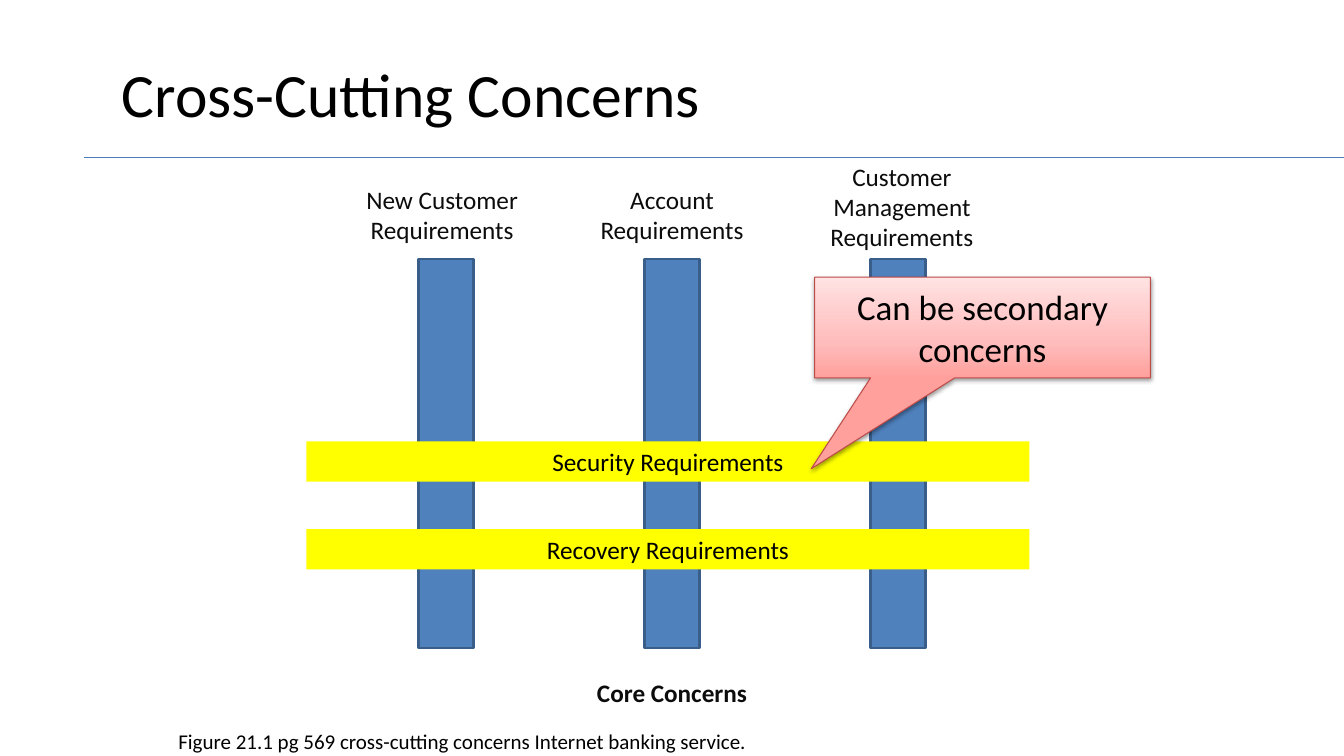
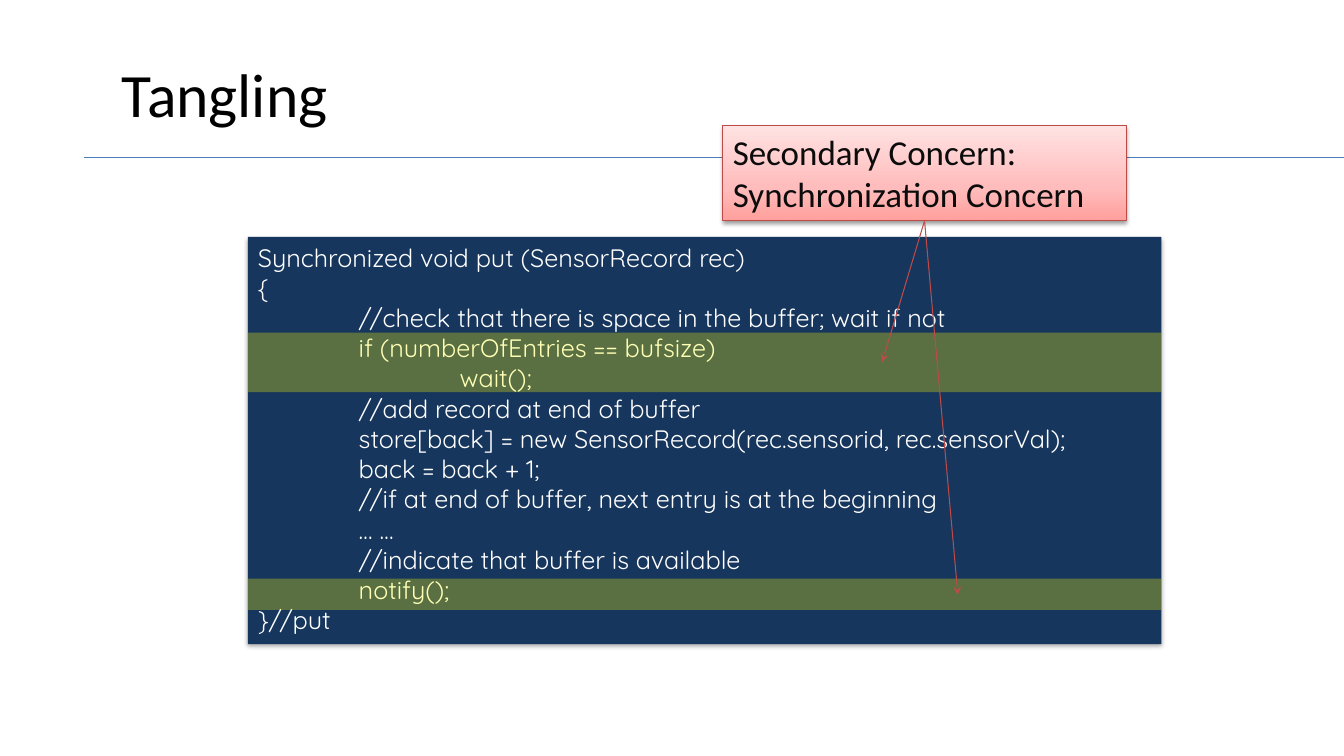
from dataclasses import dataclass

from lxml import etree
from pptx import Presentation
from pptx.dml.color import RGBColor
from pptx.enum.shapes import MSO_CONNECTOR, MSO_SHAPE
from pptx.enum.text import MSO_ANCHOR, MSO_AUTO_SIZE, PP_ALIGN
from pptx.oxml.ns import qn
from pptx.util import Inches, Pt

RECT = MSO_SHAPE.RECTANGLE
CALLOUT = MSO_SHAPE.RECTANGULAR_CALLOUT
STRAIGHT = MSO_CONNECTOR.STRAIGHT
LEFT, CENTER = PP_ALIGN.LEFT, PP_ALIGN.CENTER
TOP, MIDDLE = MSO_ANCHOR.TOP, MSO_ANCHOR.MIDDLE
GROW, FIXED = MSO_AUTO_SIZE.SHAPE_TO_FIT_TEXT, MSO_AUTO_SIZE.NONE

BLACK = RGBColor(0x00, 0x00, 0x00)
INK = RGBColor(0x0C, 0x0C, 0x0C)
WHITE = RGBColor(0xFF, 0xFF, 0xFF)
RULE = RGBColor(0x4A, 0x7D, 0xBA)
BLUE = RGBColor(0x4F, 0x81, 0xBD)
BLUE_EDGE = RGBColor(0x39, 0x5E, 0x89)
YELLOW = RGBColor(0xFF, 0xFF, 0x00)
NAVY = RGBColor(0x17, 0x36, 0x5D)
RED = RGBColor(0xBD, 0x4B, 0x48)
PINKS = (
    (0, RGBColor(0xFF, 0xA0, 0x9D)),
    (35, RGBColor(0xFF, 0xBC, 0xBC)),
    (100, RGBColor(0xFF, 0xE2, 0xE2)),
)

BODY_FONT = "Calibri"
CODE_FONT = "Quicksand"

CODE = (
    "Synchronized void put (SensorRecord rec)",
    "{",
    "\t//check that there is space in the buffer; wait if not",
    "\tif (numberOfEntries == bufsize)",
    "\t\twait();",
    "\t//add record at end of buffer",
    "\tstore[back] = new SensorRecord(rec.sensorid, rec.sensorVal);",
    "\tback = back + 1;",
    "\t//if at end of buffer, next entry is at the beginning",
    "\t… …",
    "\t//indicate that buffer is available",
    "\tnotify();",
    "}//put",
)


@dataclass(frozen=True)
class Box:
    x: float
    y: float
    w: float
    h: float

    def emu(self) -> tuple:
        return tuple(Inches(v) for v in (self.x, self.y, self.w, self.h))


@dataclass(frozen=True)
class TextStyle:
    size: float
    color: RGBColor = INK
    font: str = BODY_FONT
    bold: bool = False
    align: PP_ALIGN = CENTER
    anchor: MSO_ANCHOR = TOP
    fit: MSO_AUTO_SIZE = GROW
    tabs: tuple = ()


@dataclass(frozen=True)
class Label:
    text: str
    y: float
    h: float


TITLE = TextStyle(44, BLACK, align=LEFT, anchor=MIDDLE, fit=FIXED)
LABEL = TextStyle(18)
LABEL_BOLD = TextStyle(18, bold=True)
BAND = TextStyle(18, BLACK)
CAPTION = TextStyle(15, BLACK, align=LEFT)
CALLOUT_TEXT = TextStyle(25, BLACK, anchor=MIDDLE, fit=FIXED)
NOTE = TextStyle(25, align=LEFT)
CODE_TEXT = TextStyle(18, WHITE, CODE_FONT, align=LEFT, tabs=(1, 2))

LABELS = (
    Label("New Customer Requirements", 1.78, 0.71),
    Label("Account Requirements", 1.78, 0.71),
    Label("Customer Management Requirements", 1.55, 1.01),
)


def add_tabs(p, stops: tuple) -> None:
    tabs = etree.SubElement(p._p.get_or_add_pPr(), qn("a:tabLst"))
    for stop in stops:
        etree.SubElement(tabs, qn("a:tab"), pos=str(Inches(stop)), algn="l")


def write(s, lines: tuple, style: TextStyle) -> None:
    tf = s.text_frame
    tf.word_wrap = True
    tf.auto_size = style.fit
    tf.vertical_anchor = style.anchor
    for i, line in enumerate(lines):
        p = tf.add_paragraph() if i else tf.paragraphs[0]
        p.text = line
        p.alignment = style.align
        if style.tabs:
            add_tabs(p, style.tabs)
        p.font.name = style.font
        p.font.size = Pt(style.size)
        p.font.bold = style.bold
        p.font.color.rgb = style.color


def add_text(sp, box: Box, text: str, style: TextStyle) -> None:
    write(sp.add_textbox(*box.emu()), (text,), style)


def add_block(sp, box: Box, fill: RGBColor, kind: MSO_SHAPE = RECT):
    s = sp.add_shape(kind, *box.emu())
    s.shadow.inherit = False
    s.fill.solid()
    s.fill.fore_color.rgb = fill
    s.line.fill.background()
    return s


def outline(s, color: RGBColor, width: float) -> None:
    s.line.color.rgb = color
    s.line.width = Pt(width)


def add_color(parent, color: RGBColor, alpha: int = 100) -> None:
    clr = etree.SubElement(parent, qn("a:srgbClr"), val=str(color))
    if alpha < 100:
        etree.SubElement(clr, qn("a:alpha"), val=str(alpha * 1000))


def cast_shadow(s, alpha: int, distance: float) -> None:
    effects = s._element.spPr.find(qn("a:effectLst"))
    shadow = etree.SubElement(
        effects, qn("a:outerShdw"), blurRad=str(Pt(3.1)),
        dist=str(Pt(distance)), dir="5400000", rotWithShape="0")
    add_color(shadow, BLACK, alpha)


def add_pink_block(sp, box: Box, text: str, style: TextStyle,
                   kind: MSO_SHAPE = RECT):
    s = add_block(sp, box, PINKS[0][1], kind)
    s.fill.gradient()
    s.fill.gradient_angle = 90
    stops = s._element.spPr.find(qn("a:gradFill")).find(qn("a:gsLst"))
    for stop in list(stops):
        stops.remove(stop)
    for pos, color in PINKS:
        stop = etree.SubElement(stops, qn("a:gs"), pos=str(pos * 1000))
        add_color(stop, color)
    outline(s, RED, 0.75)
    cast_shadow(s, 38, 1.6)
    write(s, (text,), style)
    return s


def add_highlight(sp, box: Box) -> None:
    s = add_block(sp, box, YELLOW)
    clr = s._element.spPr.find(qn("a:solidFill"))[0]
    etree.SubElement(clr, qn("a:alpha"), val="29000")


def add_line(sp, x1: float, y1: float, x2: float, y2: float,
             color: RGBColor):
    c = sp.add_connector(STRAIGHT, Inches(x1), Inches(y1),
                         Inches(x2), Inches(y2))
    outline(c, color, 0.75)
    etree.SubElement(c._element.spPr, qn("a:effectLst"))
    return c


def add_arrow(sp, source, x1: float, y1: float, x2: float, y2: float) -> None:
    c = add_line(sp, x1, y1, x2, y2, RED)
    c.begin_connect(source, 2)
    etree.SubElement(c.line._get_or_add_ln(), qn("a:tailEnd"), type="stealth")


def new_slide(prs, title: str):
    sp = prs.slides.add_slide(prs.slide_layouts[6]).shapes
    add_line(sp, 0.83, 1.56, 13.33, 1.56, RULE)
    add_text(sp, Box(1.11, 0.3, 11.78, 1.25), title, TITLE)
    return sp


def concerns_slide(prs) -> None:
    sp = new_slide(prs, "Cross-Cutting Concerns")
    for i in range(len(LABELS)):
        pillar = add_block(sp, Box(4.15 + 2.24 * i, 2.57, 0.55, 3.86), BLUE)
        outline(pillar, BLUE_EDGE, 2)
    for i, text in enumerate(("Security Requirements",
                              "Recovery Requirements")):
        band = add_block(sp, Box(3.04, 4.38 + 0.87 * i, 7.17, 0.4), YELLOW)
        write(band, (text,), BAND)
    for i, label in enumerate(LABELS):
        box = Box(3.36 + 2.28 * i, label.y, 2.05, label.h)
        add_text(sp, box, label.text, LABEL)
    add_text(sp, Box(5.64, 6.67, 2.05, 0.4), "Core Concerns", LABEL_BOLD)
    add_text(sp, Box(1.67, 7.18, 8.54, 0.35),
             "Figure 21.1 pg 569 cross-cutting concerns "
             "Internet banking service.", CAPTION)
    callout = add_pink_block(sp, Box(8.08, 2.75, 3.33, 1),
                             "Can be secondary concerns",
                             CALLOUT_TEXT, CALLOUT)
    callout.adjustments[0] = -0.51
    callout.adjustments[1] = 1.4


def tangling_slide(prs) -> None:
    sp = new_slide(prs, "Tangling")
    panel = Box(2.46, 2.35, 9.06, 4.04)
    code = add_block(sp, panel, NAVY)
    cast_shadow(code, 35, 1.8)
    write(code, CODE, CODE_TEXT)
    for y, h in ((3.3, 0.59), (5.74, 0.31)):
        add_highlight(sp, Box(panel.x, y, panel.w, h))
    box = Box(7.17, 1.25, 4, 0.94)
    note = add_pink_block(sp, box,
                          "Secondary Concern: Synchronization Concern", NOTE)
    for x, y in ((9.5, 5.9), (8.75, 3.59)):
        add_arrow(sp, note, box.x + box.w / 2, box.y + box.h, x, y)


def main() -> None:
    prs = Presentation()
    prs.slide_width = Inches(13.33)
    prs.slide_height = Inches(7.5)
    concerns_slide(prs)
    tangling_slide(prs)
    prs.save("out.pptx")


if __name__ == "__main__":
    main()
